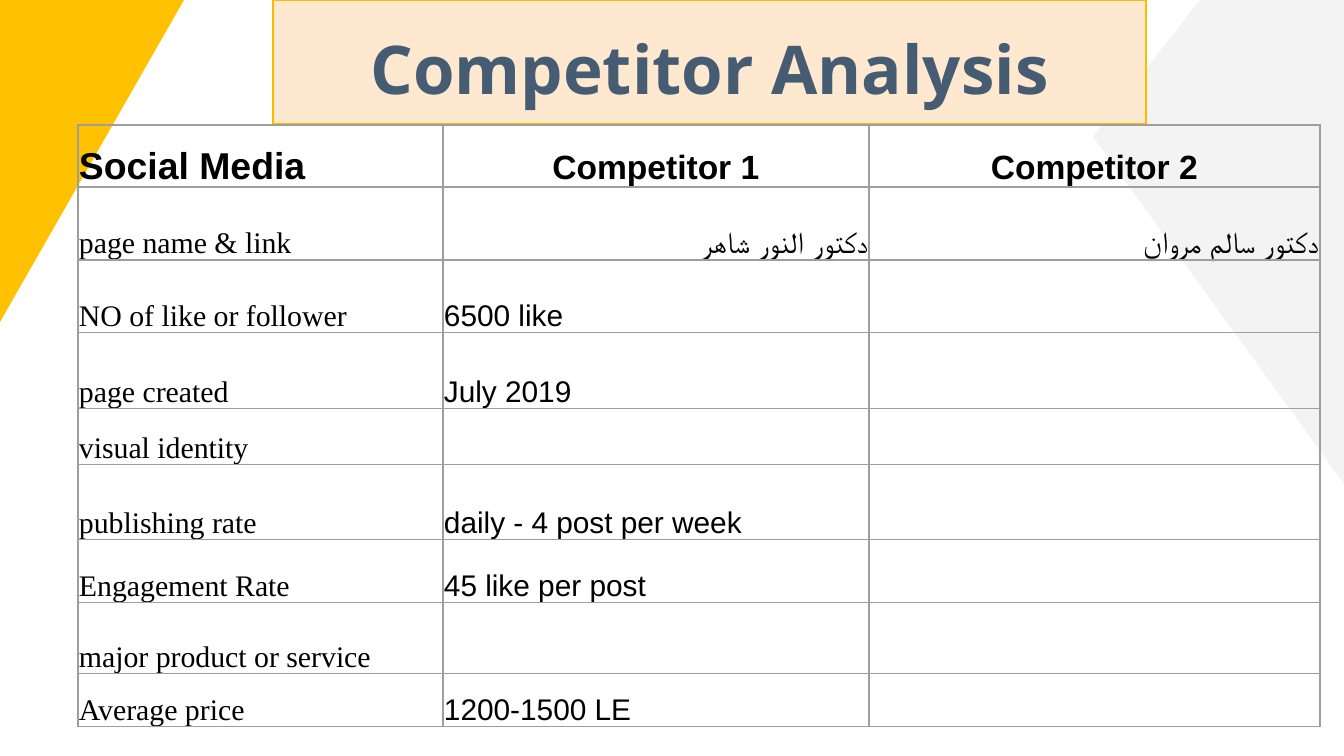
from lxml import etree
from pptx import Presentation
from pptx.dml.color import RGBColor
from pptx.enum.shapes import MSO_SHAPE
from pptx.enum.text import MSO_ANCHOR, PP_ALIGN
from pptx.oxml.ns import qn
from pptx.util import Pt

PX = 914400 / 134.4
LEFT, MID, RIGHT = PP_ALIGN.LEFT, PP_ALIGN.CENTER, PP_ALIGN.RIGHT
TOP, LOW = MSO_ANCHOR.TOP, MSO_ANCHOR.BOTTOM
PEAK, WEDGE = MSO_SHAPE.ISOSCELES_TRIANGLE, MSO_SHAPE.RIGHT_TRIANGLE

THEME = {
    "gold": "FFC100", "pale": "F3F3F3", "peach": "FFE8D0",
    "edge": "F9BD00", "grid": "9E9E9E", "slate": "465C73", "ink": "000000",
    "sans": "Arial", "serif": "Times New Roman", "head": "Noto Sans",
    "title": 36, "lead": 20, "name": 18, "body": 16,
}

COLS = [365, 426, 451]
ROWS = [62, 73, 73, 76, 56, 75, 63, 71, 53]
DATA = [
    ["Social Media", "Competitor 1", "Competitor 2"],
    ["page name & link", "دكتور النور شاهر", "دكتور سالم مروان"],
    ["NO of like or follower", "6500 like", ""],
    ["page created", "July 2019", ""],
    ["visual identity", "", ""],
    ["publishing rate", "daily - 4 post per week", ""],
    ["Engagement Rate", "45 like per post", ""],
    ["major product or service", "", ""],
    ["Average price", "1200-1500 LE", ""],
]


def emu(px):
    return round(px * PX)


def apply(obj, form):
    for key, value in form.items():
        setattr(obj, key, value)


def write(cell, text, font, size, color, bold=False, align=LEFT, rtl=False):
    para = cell.text_frame.paragraphs[0]
    para.alignment = align
    if rtl:
        para._p.get_or_add_pPr().set("rtl", "1")
    run = para.add_run()
    run.text = text
    apply(run.font, {"name": font, "size": Pt(size), "bold": bold})
    run.font.color.rgb = RGBColor.from_string(color)
    if rtl:
        etree.SubElement(run._r.get_or_add_rPr(), qn("a:cs"), typeface=font)
    return para


def border(cell, color):
    props = cell._tc.get_or_add_tcPr()
    for spot, side in enumerate(("lnL", "lnR", "lnT", "lnB")):
        line = etree.Element(qn("a:" + side), w=str(Pt(0.75)))
        fill = etree.SubElement(line, qn("a:solidFill"))
        etree.SubElement(fill, qn("a:srgbClr"), val=color)
        props.insert(spot, line)


def grid(slide, box, cols, rows, color, pads, anchor):
    """Add a plain table with ruled, unfilled cells."""
    frame = slide.shapes.add_table(len(rows), len(cols), *map(emu, box))
    table = frame.table
    apply(table, {"first_row": False, "horz_banding": False})
    for col, width in zip(table.columns, cols):
        col.width = emu(width)
    for row, height in zip(table.rows, rows):
        row.height = emu(height)
    sides = ("margin_left", "margin_top", "margin_right", "margin_bottom")
    form = {side: emu(pad) for side, pad in zip(sides, pads)}
    for cell in table.iter_cells():
        apply(cell, {**form, "vertical_anchor": anchor})
        cell.fill.background()
        border(cell, color)
    return table


def corner(slide, box, kind, turn, color):
    """Add a quarter-turned triangle that covers the box."""
    x, y, w, h = box
    shift = (w - h) / 2
    shape = slide.shapes.add_shape(
        kind, *map(emu, (x + shift, y - shift, h, w)))
    shape.rotation = turn
    shape.shadow.inherit = False
    shape.fill.solid()
    shape.fill.fore_color.rgb = RGBColor.from_string(color)
    shape.line.fill.background()
    return shape


def banner(slide, box):
    w, h = box[2:]
    table = grid(slide, box, [w], [h], THEME["edge"], [9] * 4, TOP)
    cell = table.cell(0, 0)
    cell.fill.solid()
    cell.fill.fore_color.rgb = RGBColor.from_string(THEME["peach"])
    para = write(cell, "Competitor Analysis", THEME["head"], THEME["title"],
                 THEME["slate"], True, MID)
    apply(para, {"line_spacing": 1.15, "space_before": Pt(30),
                 "space_after": Pt(10)})


def style(row, col):
    """Choose the text format from the place in the table."""
    if row == 0:
        size = THEME["name"] if col else THEME["lead"]
        return {"font": THEME["sans"], "size": size, "bold": True,
                "align": MID if col else LEFT}
    form = {"font": THEME["sans"] if col else THEME["serif"],
            "size": THEME["body"]}
    if row == 1 and col:
        form.update(align=RIGHT, rtl=True)
    return form


def rivals(slide, box):
    table = grid(slide, box, COLS, ROWS, THEME["grid"], [1, 1, 1, 0], LOW)
    for r, line in enumerate(DATA):
        for c, text in enumerate(line):
            if text:
                write(table.cell(r, c), text, color=THEME["ink"],
                      **style(r, c))


def main():
    deck = Presentation()
    apply(deck, {"slide_width": emu(1344), "slide_height": emu(756)})
    slide = deck.slides.add_slide(deck.slide_layouts[6])

    # Corner triangles
    peak = corner(slide, (1093, -184, 251, 668), PEAK, 270, THEME["pale"])
    peak.adjustments[0] = 0.52
    corner(slide, (0, 0, 184, 322), WEDGE, 90, THEME["gold"])

    # Title and comparison table
    banner(slide, (273, 0, 873, 124))
    rivals(slide, (78, 125, sum(COLS), sum(ROWS)))

    deck.save("out.pptx")


if __name__ == "__main__":
    main()
